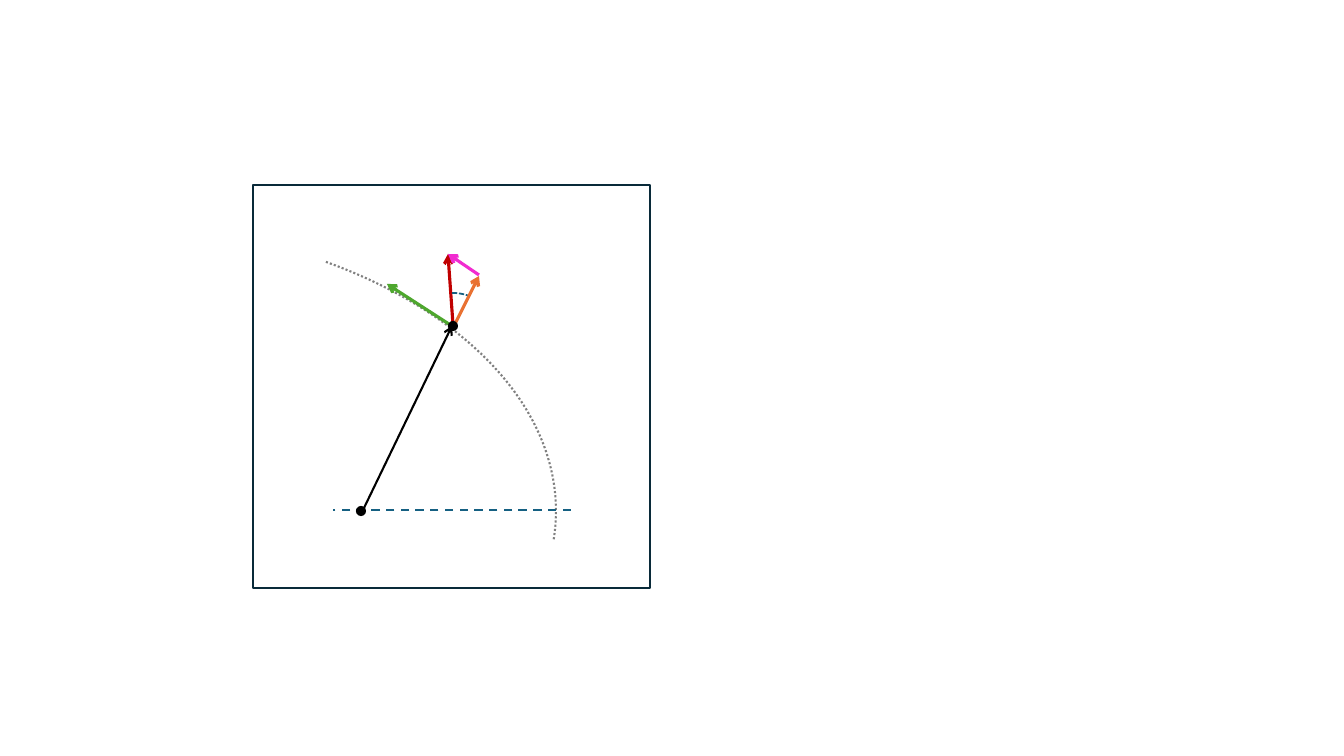
from pptx import Presentation
from pptx.dml.color import RGBColor
from pptx.enum.dml import MSO_LINE
from pptx.enum.shapes import MSO_CONNECTOR, MSO_SHAPE
from pptx.oxml.ns import qn
from pptx.util import Pt
from lxml import etree

PX = 914400 / 100.8
ARC, OVAL, RECT = MSO_SHAPE.ARC, MSO_SHAPE.OVAL, MSO_SHAPE.RECTANGLE
STRAIGHT = MSO_CONNECTOR.STRAIGHT
DASH, SYS_DOT, SYS_DASH = MSO_LINE.DASH, MSO_LINE.ROUND_DOT, MSO_LINE.SQUARE_DOT

BLACK = RGBColor(0x00, 0x00, 0x00)
GRAY = RGBColor(0x80, 0x80, 0x80)
TEAL = RGBColor(0x15, 0x60, 0x82)
NAVY = RGBColor(0x09, 0x2A, 0x39)
RED = RGBColor(0xC0, 0x00, 0x00)
ORANGE = RGBColor(0xE9, 0x71, 0x32)
GREEN = RGBColor(0x4E, 0xA7, 0x2E)
PINK = RGBColor(0xF1, 0x2B, 0xD0)


def emu(px):
    return round(px * PX)


class Diagram:
    thin = 1.5
    bold = 2.25
    dot_size = 8

    def __init__(self, prs):
        self.slide = prs.slides.add_slide(prs.slide_layouts[6])

    def stroke(self, s, color, width, dash=None):
        s.line.color.rgb = color
        s.line.width = Pt(width)
        if dash is not None:
            s.line.dash_style = dash

    def shape(self, kind, box, color, width=thin, dash=None, fill=None):
        s = self.slide.shapes.add_shape(kind, *map(emu, box))
        s.shadow.inherit = False
        if fill is None:
            s.fill.background()
        else:
            s.fill.solid()
            s.fill.fore_color.rgb = fill
        self.stroke(s, color, width, dash)
        return s

    def arc(self, box, start, end, color, width, dash, rotation=0):
        """Draw an arc; start and end are in degrees, clockwise from the right."""
        s = self.shape(ARC, box, color, width, dash)
        for i, angle in enumerate((start, end)):
            s.adjustments[i] = angle * 0.6
        s.rotation = rotation

    def dot(self, x, y):
        size = self.dot_size
        self.shape(OVAL, (x, y, size, size), BLACK, fill=BLACK)

    def line(self, start, end, color, width=thin, dash=None):
        s = self.slide.shapes.add_connector(STRAIGHT, *map(emu, start + end))
        self.stroke(s, color, width, dash)
        etree.SubElement(s._element.spPr, qn("a:effectLst"))
        return s

    def vector(self, start, end, color, width=bold):
        s = self.line(start, end, color, width)
        ln = s._element.spPr.find(qn("a:ln"))
        etree.SubElement(ln, qn("a:tailEnd"), type="arrow")


def main():
    prs = Presentation()
    prs.slide_width, prs.slide_height = emu(1344), emu(756)
    d = Diagram(prs)
    body = (452, 326)
    velocity_tip = (448, 254)

    # Orbit, position vector and reference axis
    d.arc((-368, 223, 924, 576), 312.96, 3.77, GRAY, d.thin, SYS_DOT)
    d.vector((364, 508), body, BLACK, d.thin)
    d.line((571, 510), (333, 510), TEAL, dash=DASH)
    d.dot(357, 507)

    # Velocity, its angle and its components
    d.vector((453, 324), velocity_tip, RED)
    d.arc((405, 293, 95, 95), 182.78, 202.78, TEAL, 1.25, SYS_DASH, rotation=86.6)
    d.shape(RECT, (253, 185, 397, 403), NAVY)
    d.vector((453, 328), (479, 276), ORANGE)
    d.vector(body, (387, 284), GREEN)
    d.dot(449, 322)
    d.vector((479, 275), velocity_tip, PINK)

    prs.save("out.pptx")


if __name__ == "__main__":
    main()
